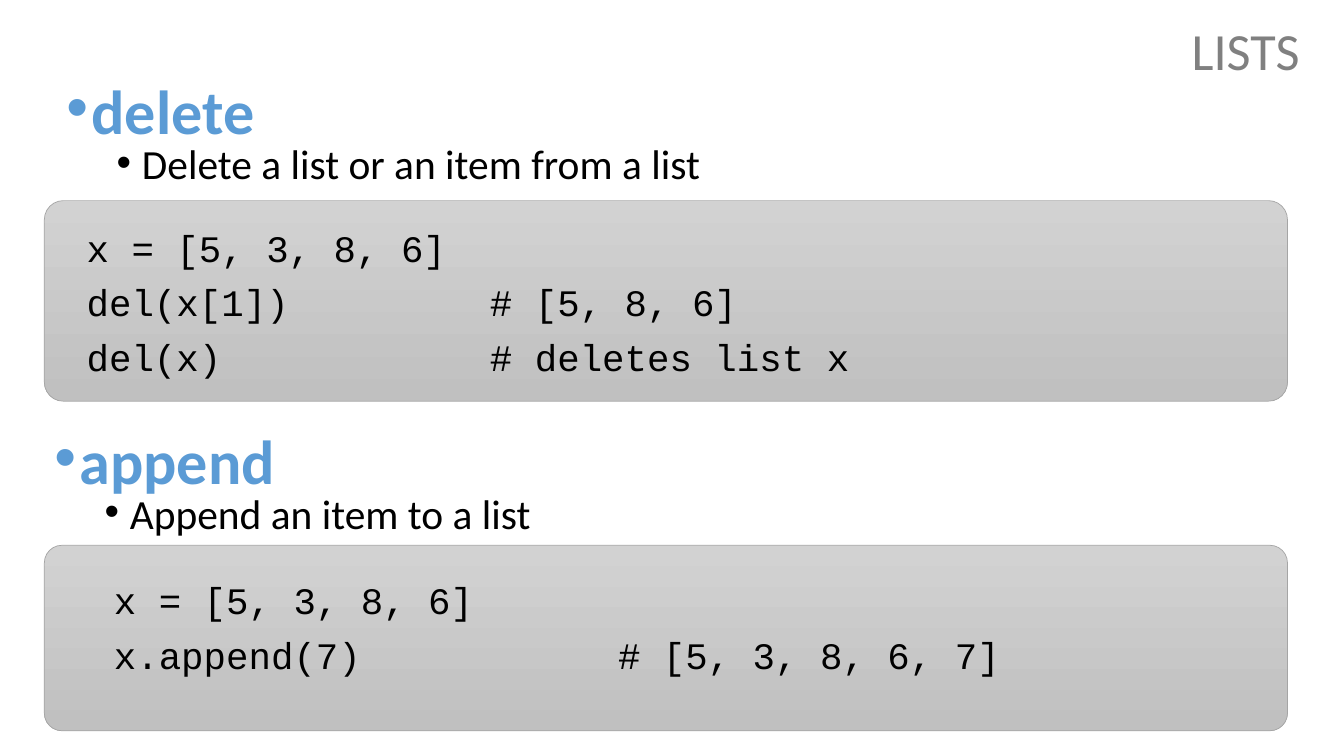
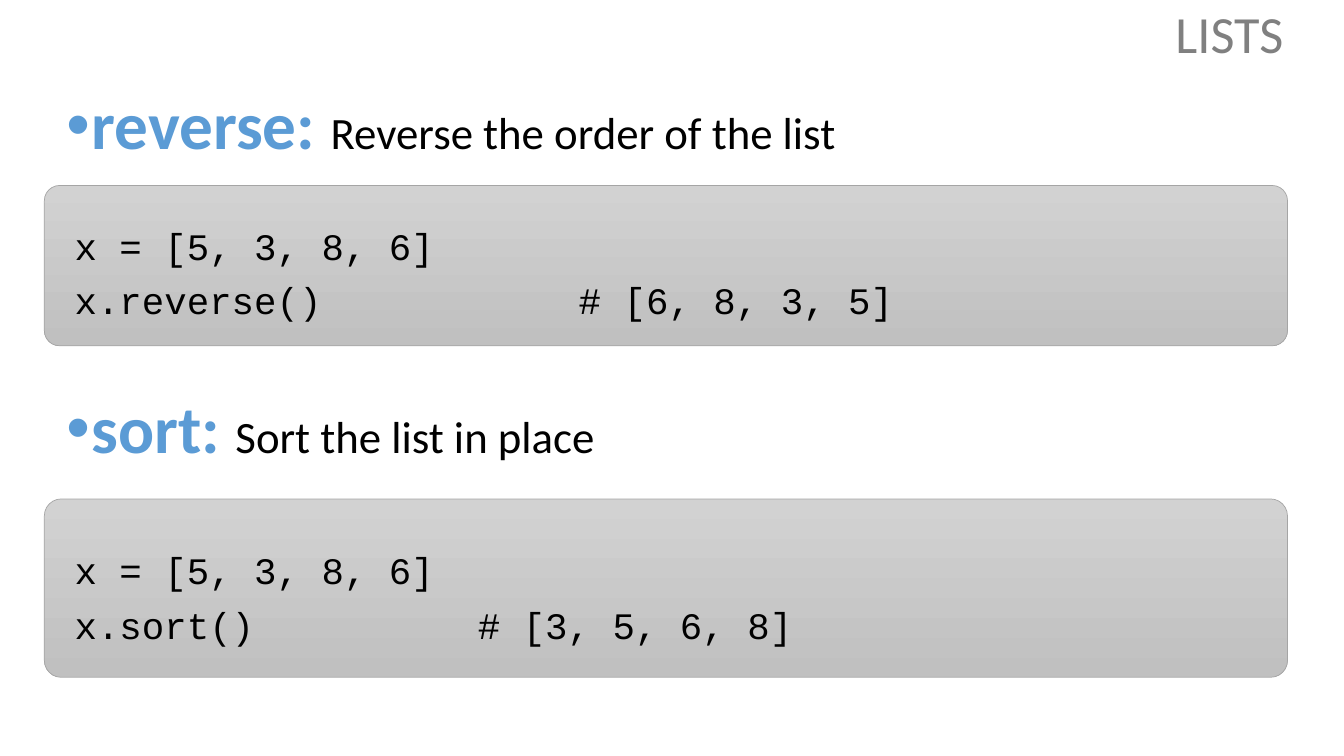
from pptx import Presentation
from pptx.dml.color import RGBColor
from pptx.enum.shapes import MSO_SHAPE
from pptx.enum.text import MSO_ANCHOR
from pptx.oxml.ns import qn
from pptx.util import Inches, Pt
from lxml import etree

ROUNDED = MSO_SHAPE.ROUNDED_RECTANGLE
MIDDLE = MSO_ANCHOR.MIDDLE

BODY_FONT, CODE_FONT = "Calibri", "Courier New"
BLUE, BLACK, TITLE_GRAY = "5B9BD5", "000000", "808080"
CARD_TOP, CARD_BOTTOM, CARD_LINE = "D2D2D2", "C0C0C0", "A5A5A5"
CARD_LEFT, CARD_WIDTH = 0.44, 12.33


def color(hex_code):
    return RGBColor.from_string(hex_code)


def style(font, name, size, hex_code, bold=False):
    font.name = name
    font.size = Pt(size)
    font.bold = bold
    font.color.rgb = color(hex_code)


def add_text_box(page, left, top, width, height):
    box = page.shapes.add_textbox(Inches(left), Inches(top), Inches(width), Inches(height))
    box.text_frame.word_wrap = True
    return box.text_frame


def add_bullet(para, indent, hex_code):
    props = para._p.get_or_add_pPr()
    props.set("marL", str(Inches(indent)))
    props.set("indent", str(Inches(-0.25)))
    bullet_color = etree.SubElement(props, qn("a:buClr"))
    etree.SubElement(bullet_color, qn("a:srgbClr"), val=hex_code)
    etree.SubElement(props, qn("a:buFont"), typeface="Arial")
    etree.SubElement(props, qn("a:buChar"), char="•")


def add_tab_stop(para, position):
    tabs = etree.SubElement(para._p.get_or_add_pPr(), qn("a:tabLst"))
    etree.SubElement(tabs, qn("a:tab"), pos=str(Inches(position)), algn="l")


def add_title(page, left, top):
    frame = add_text_box(page, left, top, 1.89, 0.78)
    frame.vertical_anchor = MIDDLE
    para = frame.paragraphs[0]
    para.text = "LISTS"
    para.line_spacing = 0.9
    style(para.font, BODY_FONT, 37.3, TITLE_GRAY)


def add_stacked_heading(page, left, top, name, summary):
    frame = add_text_box(page, left, top, 12, 1.07)
    heading, detail = frame.paragraphs[0], frame.add_paragraph()
    detail.level = 1
    detail.space_before = Pt(5)
    for para, text, indent, size, hex_code in (
        (heading, name, 0.25, 44.4, BLUE),
        (detail, summary, 0.75, 29.6, BLACK),
    ):
        para.text = text
        para.line_spacing = 0.7
        add_bullet(para, indent, hex_code)
        style(para.font, BODY_FONT, size, hex_code, bold=para is heading)


def add_inline_heading(page, left, top, name, summary):
    para = add_text_box(page, left, top, 12, 0.9).paragraphs[0]
    para.line_spacing = 0.9
    add_bullet(para, 0.25, BLUE)
    for text, size, hex_code, bold in ((name, 48, BLUE, True), (summary, 32, BLACK, False)):
        span = para.add_run()
        span.text = text
        style(span.font, BODY_FONT, size, hex_code, bold)


def add_code_card(page, top, height, text_left, text_top, comment_at, lines):
    card = page.shapes.add_shape(
        ROUNDED, Inches(CARD_LEFT), Inches(top), Inches(CARD_WIDTH), Inches(height))
    card.adjustments[0] = 0.095
    card.shadow.inherit = False
    card.fill.gradient()
    card.fill.gradient_angle = 270
    for stop, hex_code in zip(card.fill.gradient_stops, (CARD_TOP, CARD_BOTTOM)):
        stop.color.rgb = color(hex_code)
    card.line.color.rgb = color(CARD_LINE)
    card.line.width = Pt(0.5)

    frame = add_text_box(page, CARD_LEFT + text_left, top + text_top, 11.8, 0.52 * len(lines) + 0.2)
    frame.margin_left, frame.margin_right = Inches(0.3), Inches(0.13)
    frame.margin_top = frame.margin_bottom = Inches(0.07)
    for index, line in enumerate(lines):
        para = frame.add_paragraph() if index else frame.paragraphs[0]
        para.text = line
        if index:
            para.space_before = Pt(7)
        add_tab_stop(para, comment_at)
        style(para.font, CODE_FONT, 26.7, BLACK)


def build_delete_append(page):
    add_stacked_heading(page, 0.56, 0.87, "delete", "Delete a list or an item from a list")
    add_code_card(page, 1.99, 1.99, 0.12, 0.17, 4, [
        "x = [5, 3, 8, 6]",
        "del(x[1])\t# [5, 8, 6]",
        "del(x)\t# deletes list x",
    ])
    add_stacked_heading(page, 0.44, 4.34, "append", "Append an item to a list")
    add_code_card(page, 5.41, 1.84, 0.39, 0.25, 5, [
        "x = [5, 3, 8, 6]",
        "x.append(7)\t# [5, 3, 8, 6, 7]",
    ])
    add_title(page, 11.72, 0.14)


def build_reverse_sort(page):
    add_title(page, 11.56, -0.03)
    add_inline_heading(page, 0.56, 0.86, "reverse: ", "Reverse the order of the list")
    add_code_card(page, 1.84, 1.59, 0, 0.3, 5, [
        "x = [5, 3, 8, 6]",
        "x.reverse()\t# [6, 8, 3, 5]",
    ])
    add_inline_heading(page, 0.56, 3.87, "sort: ", "Sort the list in place")
    add_code_card(page, 4.95, 1.77, 0, 0.41, 4, [
        "x = [5, 3, 8, 6]",
        "x.sort()\t# [3, 5, 6, 8]",
    ])


def main():
    deck = Presentation()
    deck.slide_width, deck.slide_height = Inches(13.33), Inches(7.5)
    for build in (build_delete_append, build_reverse_sort):
        build(deck.slides.add_slide(deck.slide_layouts[6]))
    deck.save("out.pptx")


if __name__ == "__main__":
    main()
